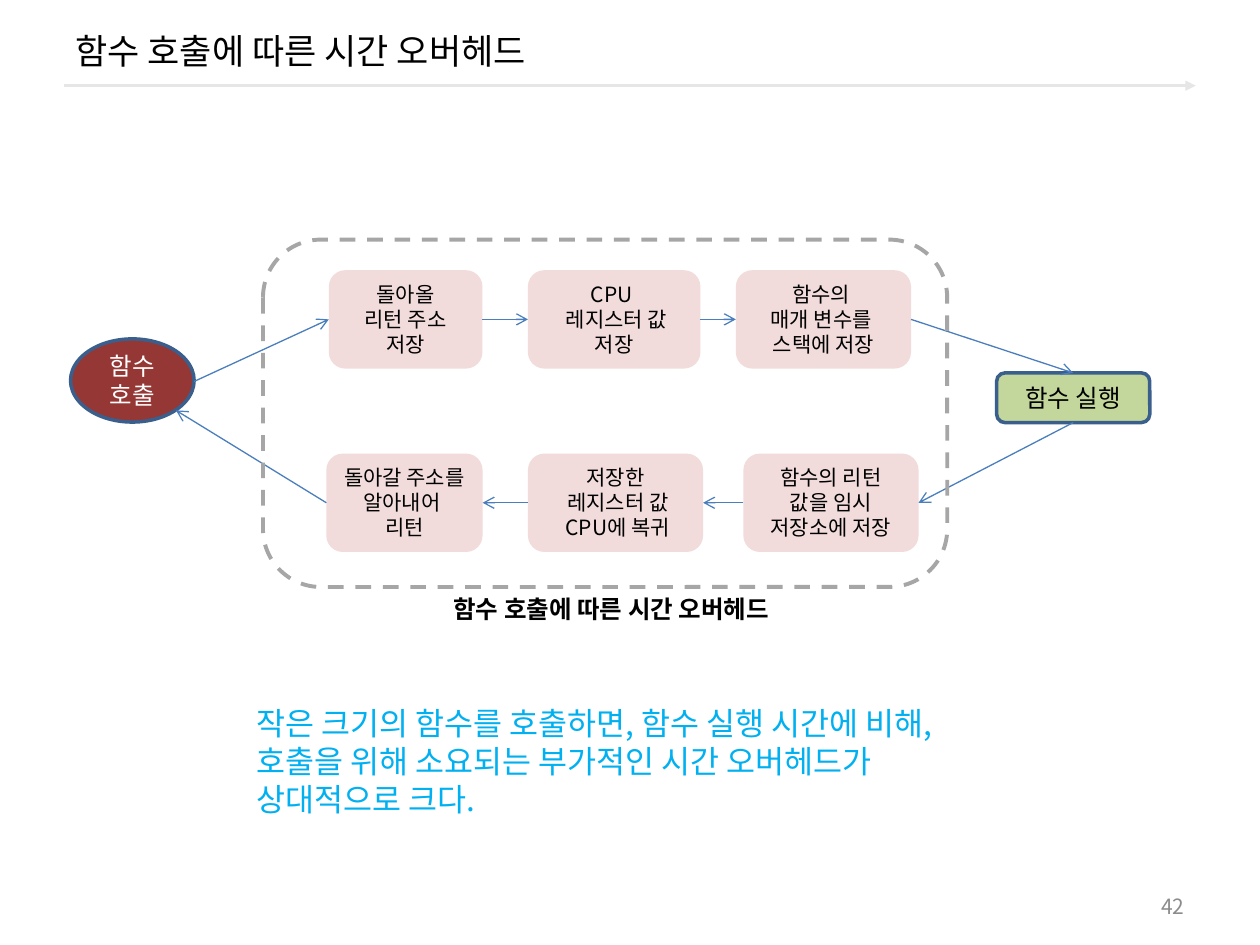
from pptx import Presentation
from pptx.dml.color import RGBColor
from pptx.enum.dml import MSO_LINE
from pptx.enum.shapes import MSO_CONNECTOR, MSO_SHAPE
from pptx.enum.text import MSO_ANCHOR, PP_ALIGN
from pptx.oxml.ns import qn
from pptx.util import Pt
from lxml.etree import SubElement

FONT = "Noto Sans CJK KR"
BLACK = RGBColor(0x00, 0x00, 0x00)
WHITE = RGBColor(0xFF, 0xFF, 0xFF)
GRAY = RGBColor(0x8C, 0x8C, 0x8C)
RULE = RGBColor(0xE6, 0xE6, 0xE6)
FRAME = RGBColor(0xA6, 0xA6, 0xA6)
PINK = RGBColor(0xF2, 0xDC, 0xDB)
RED = RGBColor(0x95, 0x37, 0x35)
GREEN = RGBColor(0xC3, 0xD6, 0x9B)
OUTLINE = RGBColor(0x3A, 0x5F, 0x8C)
ARROW = RGBColor(0x4B, 0x7E, 0xBC)
SKY = RGBColor(0x00, 0xB0, 0xF0)

TOP, LEFT, BOTTOM, RIGHT = range(4)
STEP_HEIGHT = 56.2
CALL_ROW_Y, RETURN_ROW_Y = 154.4, 259.2
# left, width, paragraphs
CALL_STEPS = [
    (187.9, 87.8, ["돌아올", "리턴 주소 저장"]),
    (301.7, 98.6, ["CPU ", " 레지스터 값", "저장"]),
    (420.5, 100.1, ["함수의 ", "매개 변수를 ", "스택에 저장"]),
]
RETURN_STEPS = [
    (186.5, 89.3, ["돌아갈 주소를 알아내어 ", "리턴"]),
    (301.7, 100.1, ["저장한", " 레지스터 값", " CPU에 복귀"]),
    (424.8, 100.1, ["함수의 리턴 값을 임시 저장소에 저장"]),
]


def write(tf, lines, size, color, align, anchor, bold=False):
    tf.vertical_anchor = anchor
    for i, line in enumerate(lines):
        p = tf.paragraphs[0] if i == 0 else tf.add_paragraph()
        p.alignment = align
        r = p.add_run()
        r.text = line
        r.font.name, r.font.size, r.font.bold = FONT, Pt(size), bold
        r.font.color.rgb = color
        SubElement(r.font._element, qn("a:ea"), typeface=FONT)


def add_text(s, box, text, size, color, align=PP_ALIGN.LEFT,
             anchor=MSO_ANCHOR.TOP, bold=False, wrap=True):
    tf = s.shapes.add_textbox(*map(Pt, box)).text_frame
    tf.word_wrap = wrap
    write(tf, [text], size, color, align, anchor, bold)


def add_node(s, kind, box, fill=None, line=None, width=2):
    sp = s.shapes.add_shape(kind, *map(Pt, box))
    sp.shadow.inherit = False
    if fill is None:
        sp.fill.background()
    else:
        sp.fill.solid()
        sp.fill.fore_color.rgb = fill
    if line is None:
        sp.line.fill.background()
    else:
        sp.line.color.rgb = line
        sp.line.width = Pt(width)
    return sp


def add_steps(s, steps, y):
    nodes = []
    for x, width, lines in steps:
        sp = add_node(s, MSO_SHAPE.ROUNDED_RECTANGLE,
                      (x, y, width, STEP_HEIGHT), PINK)
        write(sp.text_frame, lines, 12, BLACK, PP_ALIGN.CENTER, MSO_ANCHOR.TOP)
        nodes.append(sp)
    return nodes


def add_arrow(s, start, end, color=ARROW, width=0.75, head="arrow"):
    """Each end is an (x, y) point or a (shape, side) pair to join."""
    c = s.shapes.add_connector(MSO_CONNECTOR.STRAIGHT, 0, 0, 0, 0)
    if isinstance(start[0], (int, float)):
        c.begin_x, c.begin_y = map(Pt, start)
    else:
        c.begin_connect(*start)
    if isinstance(end[0], (int, float)):
        c.end_x, c.end_y = map(Pt, end)
    else:
        c.end_connect(*end)
    c.line.color.rgb = color
    c.line.width = Pt(width)
    SubElement(c.line._get_or_add_ln(), qn("a:tailEnd"), type=head)
    SubElement(c._element.spPr, qn("a:effectLst"))


def add_flow(s):
    calls = add_steps(s, CALL_STEPS, CALL_ROW_Y)
    returns = add_steps(s, RETURN_STEPS, RETURN_ROW_Y)

    caller = add_node(s, MSO_SHAPE.OVAL, (40.3, 193.7, 70.6, 47.5), RED, OUTLINE)
    write(caller.text_frame, ["함수 호출"], 14, WHITE, PP_ALIGN.CENTER,
          MSO_ANCHOR.MIDDLE)
    body = add_node(s, MSO_SHAPE.ROUNDED_RECTANGLE, (569.5, 213.1, 87.5, 28.4),
                    GREEN, OUTLINE)
    write(body.text_frame, ["함수 실행"], 14, BLACK, PP_ALIGN.CENTER,
          MSO_ANCHOR.MIDDLE)

    add_arrow(s, (110.9, 218), (calls[0], LEFT))
    for a, b in zip(calls, calls[1:]):
        add_arrow(s, (a, RIGHT), (b, LEFT))
    add_arrow(s, (calls[-1], RIGHT), (body, TOP))
    add_arrow(s, (body, BOTTOM), (returns[-1], RIGHT))
    for a, b in zip(returns, returns[1:]):
        add_arrow(s, (b, LEFT), (a, RIGHT))
    add_arrow(s, (returns[0], LEFT), (100.6, 234.5))

    frame = add_node(s, MSO_SHAPE.ROUNDED_RECTANGLE, (150.3, 136.9, 391, 198.5),
                     line=FRAME, width=2.25)
    frame.line.dash_style = MSO_LINE.DASH


def main():
    prs = Presentation()
    prs.slide_width, prs.slide_height = Pt(720), Pt(540)
    s = prs.slides.add_slide(prs.slide_layouts[6])

    add_arrow(s, (36.7, 49), (683.3, 49), RULE, 1.5, "triangle")
    add_text(s, (36, 5.8, 648, 46), "함수 호출에 따른 시간 오버헤드", 20, BLACK,
             anchor=MSO_ANCHOR.MIDDLE)
    add_flow(s)
    add_text(s, (252, 336.2, 218.2, 24.5), "함수 호출에 따른 시간 오버헤드", 14,
             BLACK, bold=True, wrap=False)
    add_text(s, (139.7, 398.9, 447.8, 72.7),
             "작은 크기의 함수를 호출하면, 함수 실행 시간에 비해, 호출을 위해 "
             "소요되는 부가적인 시간 오버헤드가 상대적으로 크다.", 18, SKY)
    add_text(s, (516.2, 506.2, 167.8, 23), "42", 12, GRAY, PP_ALIGN.RIGHT,
             MSO_ANCHOR.MIDDLE)
    prs.save("out.pptx")


if __name__ == "__main__":
    main()
